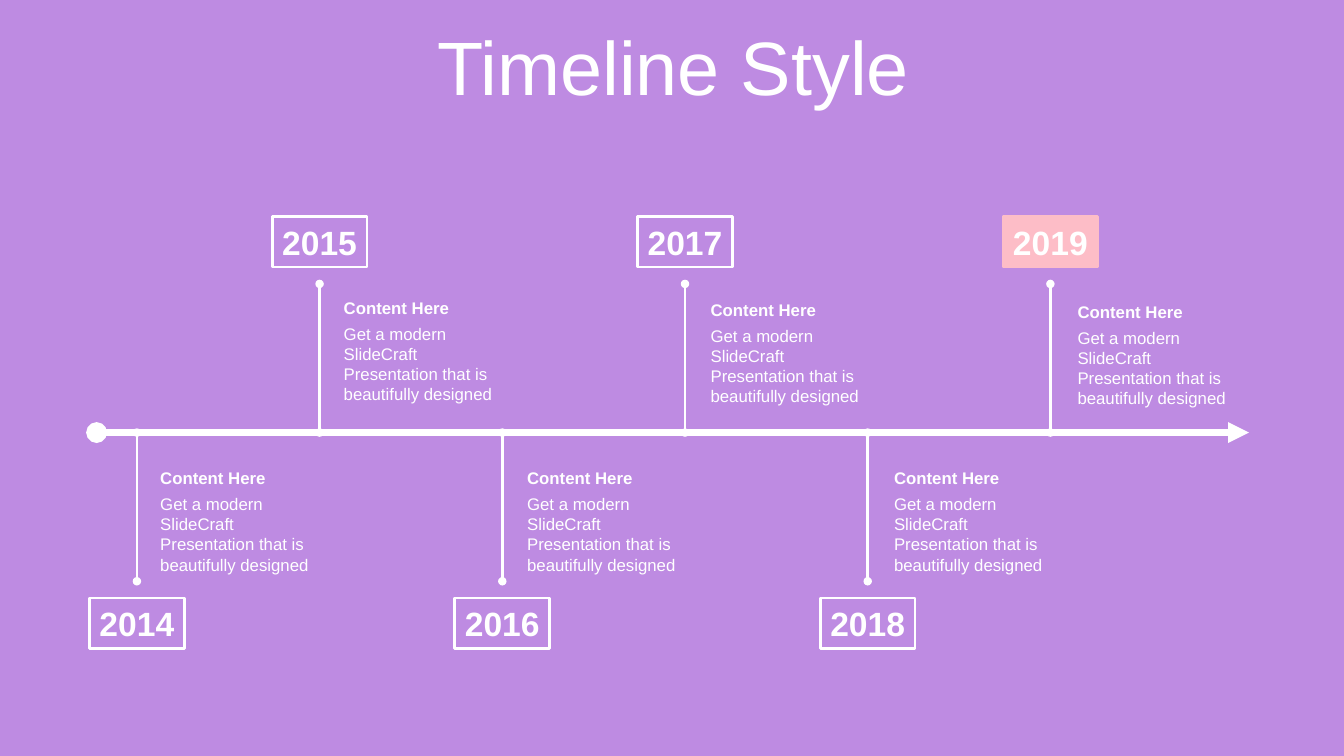
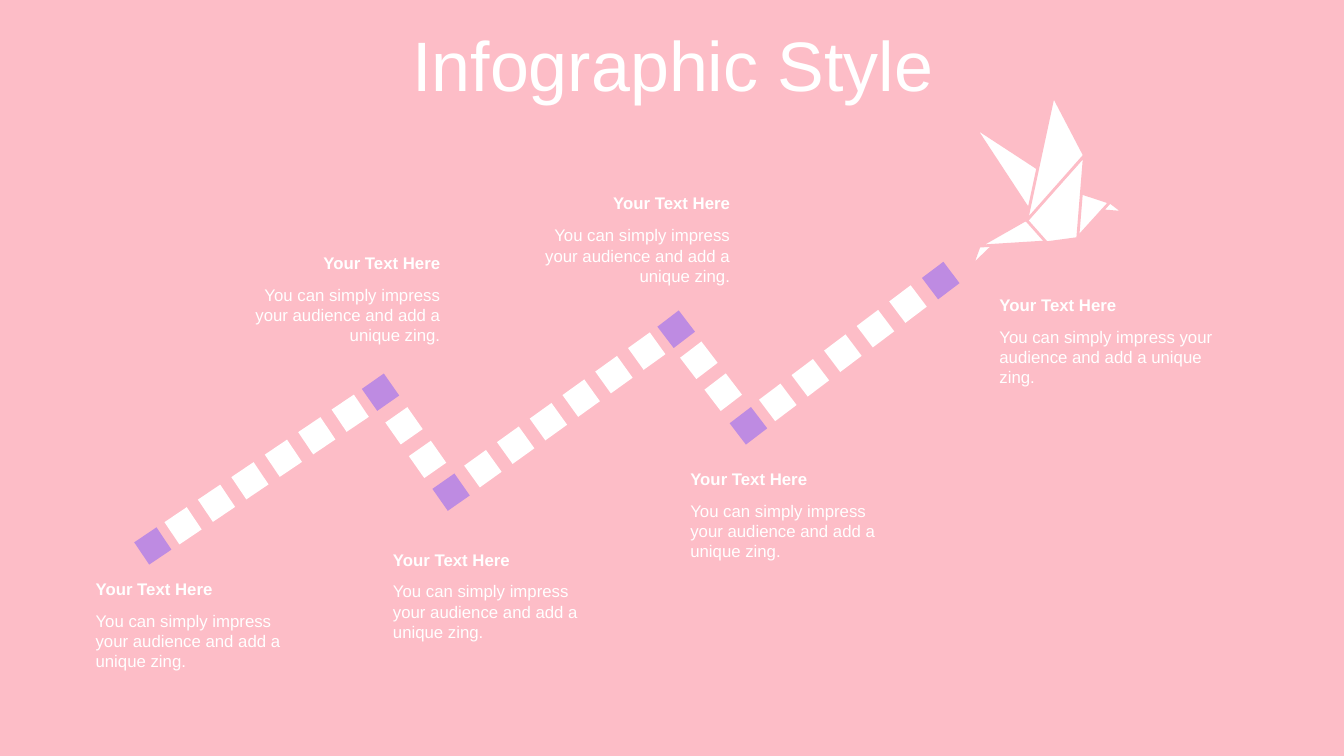
import math

import pptx
import pptx.dml.color
import pptx.enum.shapes
import pptx.enum.text
import pptx.oxml
import pptx.oxml.ns
import pptx.util

COLUMNS, ROWS = 160, 90
COLORS = {"purple": "BE8BE2", "pink": "FDBDC7", "white": "FFFFFF"}
FONT = "Arial"
ALIGN = pptx.enum.text.PP_ALIGN
ANCHOR = pptx.enum.text.MSO_ANCHOR
FIT = pptx.enum.text.MSO_AUTO_SIZE
RECTANGLE = pptx.enum.shapes.MSO_SHAPE.RECTANGLE


class Deck:
    """Draws styled elements on the current slide, placed on a 160 by 90 grid."""

    def __init__(self):
        self.presentation = pptx.Presentation()
        self.presentation.slide_width = pptx.util.Inches(40 / 3)
        self.presentation.slide_height = pptx.util.Inches(7.5)
        self.slide = None

    def across(self, columns):
        return pptx.util.Emu(round(self.presentation.slide_width * columns / COLUMNS))

    def down(self, rows):
        return pptx.util.Emu(round(self.presentation.slide_height * rows / ROWS))

    def place(self, left, top, width, height):
        return self.across(left), self.down(top), self.across(width), self.down(height)

    def color(self, name):
        return pptx.dml.color.RGBColor.from_string(COLORS[name])

    def group(self):
        return self.slide.shapes.add_group_shape().shapes

    def set_text(self, frame, text, size, bold=False, align=ALIGN.LEFT):
        paragraph = frame.paragraphs[0]
        paragraph.text = text
        paragraph.alignment = align
        paragraph.font.name = FONT
        paragraph.font.size = pptx.util.Pt(size)
        paragraph.font.bold = bold
        paragraph.font.color.rgb = self.color("white")
        return paragraph

    def add_slide(self, background, title, size, line_spacing):
        self.slide = self.presentation.slides.add_slide(self.presentation.slide_layouts[5])
        self.slide.background.fill.solid()
        self.slide.background.fill.fore_color.rgb = self.color(background)
        shape = self.slide.shapes.title
        shape.left, shape.top, shape.width, shape.height = self.place(4.2, 3.7, 151.9, 9.5)
        shape.text_frame.auto_size = FIT.NONE
        shape.text_frame.vertical_anchor = ANCHOR.MIDDLE
        paragraph = self.set_text(shape.text_frame, title, size, align=ALIGN.CENTER)
        paragraph.line_spacing = line_spacing
        paragraph.space_before = pptx.util.Pt(10)

    def paint(self, shape, fill=None, line=None):
        shape.shadow.inherit = False
        if fill:
            shape.fill.solid()
            shape.fill.fore_color.rgb = self.color(fill)
        else:
            shape.fill.background()
        if line:
            shape.line.color.rgb = self.color(line)
            shape.line.width = pptx.util.Pt(2)
        else:
            shape.line.fill.background()

    def line(self, start, end, width, tail="oval"):
        connector = self.slide.shapes.add_connector(
            pptx.enum.shapes.MSO_CONNECTOR.STRAIGHT,
            self.across(start[0]), self.down(start[1]),
            self.across(end[0]), self.down(end[1]))
        connector.line.color.rgb = self.color("white")
        connector.line.width = pptx.util.Pt(width)
        properties = connector.element.spPr
        outline = properties.find(pptx.oxml.ns.qn("a:ln"))
        namespace = pptx.oxml.ns.nsdecls("a")
        for tag, kind in (("headEnd", "oval"), ("tailEnd", tail)):
            outline.append(pptx.oxml.parse_xml(f'<a:{tag} {namespace} type="{kind}"/>'))
        properties.append(pptx.oxml.parse_xml(f"<a:effectLst {namespace}/>"))

    def year_box(self, center, middle, year, highlighted):
        width, height = 11.3, 6
        shape = self.slide.shapes.add_shape(
            RECTANGLE, *self.place(center - width / 2, middle - height / 2, width, height))
        self.paint(shape, "pink" if highlighted else None, "pink" if highlighted else "white")
        shape.text_frame.word_wrap = False
        shape.text_frame.vertical_anchor = ANCHOR.MIDDLE
        self.set_text(shape.text_frame, str(year), 24, True, ALIGN.CENTER)

    def caption(self, left, top, width, heading, body, body_offset, body_height, align=ALIGN.LEFT):
        shapes = self.group()
        parts = ((heading, top, 3.6, True), (body, top + body_offset, body_height, False))
        for text, part_top, height, bold in parts:
            frame = shapes.add_textbox(*self.place(left, part_top, width, height)).text_frame
            frame.word_wrap = True
            frame.auto_size = FIT.SHAPE_TO_FIT_TEXT
            self.set_text(frame, text, 12, bold, align)

    def trail_leg(self, start, end, count, nodes):
        side = 3.2
        shapes = self.group()
        run, rise = end[0] - start[0], end[1] - start[1]
        shares = [index / (count - 1) for index in range(count)]
        tiles = [(start[0] + run * share, start[1] + rise * share, "white") for share in shares]
        tiles += [(*node, "purple") for node in nodes]
        for center, middle, fill in tiles:
            tile = shapes.add_shape(
                RECTANGLE, *self.place(center - side / 2, middle - side / 2, side, side))
            tile.rotation = math.degrees(math.atan2(rise, run))
            self.paint(tile, fill)

    def folded_figure(self, facets):
        shapes = self.group()
        for facet in facets:
            points = [(self.across(column), self.down(row)) for column, row in facet]
            builder = shapes.build_freeform(*points[0])
            builder.add_line_segments(points[1:], close=True)
            self.paint(builder.convert_to_shape(), "white", "pink")


def build_timeline(deck):
    deck.add_slide("purple", "Timeline Style", 54, 0.9)
    axis = 51.5
    deck.line((11.5, axis), (148.7, axis), 5, "triangle")
    for index, year in enumerate(range(2014, 2020)):
        above = index % 2 == 1
        direction = -1 if above else 1
        stem = 16.3 + 21.75 * index
        deck.line((stem, axis), (stem, axis + 17.7 * direction), 2)
        deck.year_box(stem, axis + 22.7 * direction, year, year == 2019)
        caption_top = 34.68 + 0.12 * index if above else 55.1
        deck.caption(17.9 + 21.84 * index, caption_top, 22.1, "Content Here",
                     "Get a modern SlideCraft Presentation that is beautifully designed",
                     3.1, 10.9)


def build_infographic(deck):
    deck.add_slide("pink", "Infographic Style", 50, 0.8)
    captions = (
        (10.2, 68.3, 25.3, ALIGN.LEFT),
        (28.3, 29.5, 25.3, ALIGN.RIGHT),
        (62.8, 22.4, 25.3, ALIGN.RIGHT),
        (45.6, 64.8, 25.3, ALIGN.LEFT),
        (81, 55.2, 25.3, ALIGN.LEFT),
        (117.8, 34.5, 28.7, ALIGN.LEFT),
    )
    for left, top, width, align in captions:
        deck.caption(left, top, width, "Your Text Here",
                     "You can simply impress your audience and add a unique zing.",
                     3.8, 8.5, align)
    legs = (
        ((21.8, 62.6), (41.7, 49.2), 6, [(18.2, 65)]),
        ((48.1, 50.7), (50.9, 54.7), 2, [(45.3, 46.7), (53.7, 58.6)]),
        ((57.5, 55.8), (77, 41.8), 6, []),
        ((83.2, 42.9), (86.1, 46.7), 2, [(80.5, 39.2), (89.1, 50.7)]),
        ((92.6, 47.9), (108.1, 36.2), 5, [(112, 33.4)]),
    )
    for leg in legs:
        deck.trail_leg(*leg)
    deck.folded_figure((
        ((118.6, 28.9), (115.7, 31.7), (116.6, 29.2)),
        ((116.6, 29.3), (122.4, 26), (124.6, 28.8)),
        ((132.1, 24), (133.8, 25.3), (131.2, 25.1)),
        ((128.5, 22.9), (132.1, 24.1), (128.2, 28.4)),
        ((116, 15.1), (123.8, 20.2), (122.5, 25)),
        ((124.6, 28.9), (128.3, 28.4), (129.1, 18.5), (122.2, 26.2)),
        ((129.1, 18.5), (125.4, 11.4), (122.2, 26.3)),
    ))


def main():
    deck = Deck()
    build_timeline(deck)
    build_infographic(deck)
    deck.presentation.save("out.pptx")


if __name__ == "__main__":
    main()
